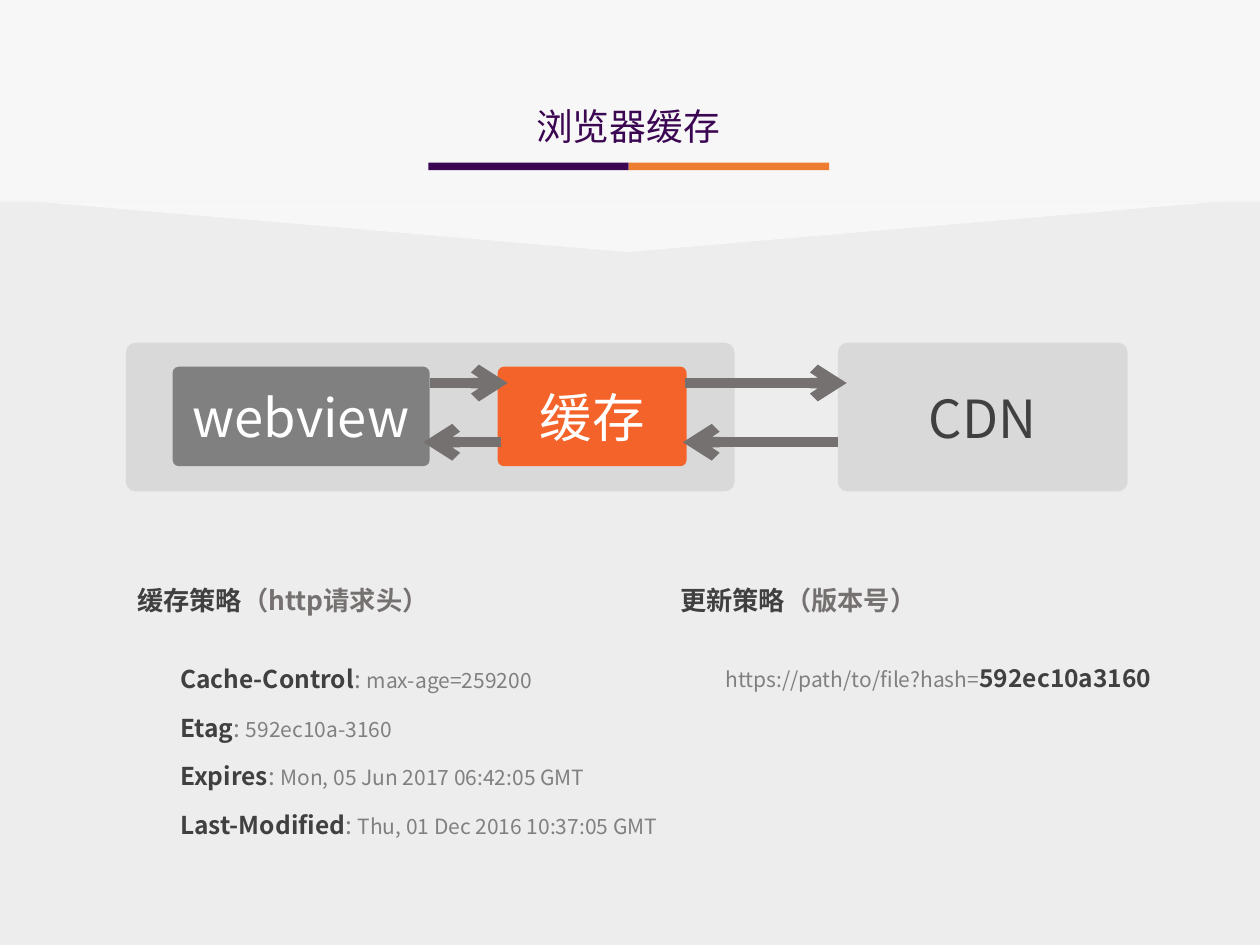
import dataclasses
import typing

import pptx
import pptx.dml.color
import pptx.enum.shapes
import pptx.enum.text
import pptx.oxml
import pptx.oxml.ns
import pptx.util

FONT = "Noto Sans CJK SC"
COLUMNS, ROWS = 100, 75
PURPLE, ORANGE, AMBER = "3B0752", "F4632A", "ED7D31"
PALE, MIST, SILVER = "F7F7F7", "EDEDED", "D9D9D9"
GREY, SLATE, DARK, WHITE = "808080", "767171", "404040", "FFFFFF"
SHAPE = pptx.enum.shapes.MSO_SHAPE
ANCHOR = pptx.enum.text.MSO_ANCHOR
CENTER = pptx.enum.text.PP_ALIGN.CENTER

deck = pptx.Presentation()
deck.slide_width = pptx.util.Inches(10)
deck.slide_height = pptx.util.Inches(7.5)
page = deck.slides.add_slide(deck.slide_layouts[1])


@dataclasses.dataclass
class Area:
    """A rectangle in columns and rows of the page grid."""
    column: float
    row: float
    columns: float
    rows: float


@dataclasses.dataclass
class Span:
    text: str
    size: float
    color: str
    bold: bool = False


@dataclasses.dataclass
class Block:
    area: Area
    fill: str
    label: typing.Optional[Span] = None


@dataclasses.dataclass
class Arrow:
    start: float
    end: float
    row: float


def across(columns: float) -> int:
    return round(deck.slide_width * columns / COLUMNS)


def down(rows: float) -> int:
    return round(deck.slide_height * rows / ROWS)


def place(area: Area) -> tuple:
    return (across(area.column), down(area.row),
            across(area.columns), down(area.rows))


def color(code: str) -> pptx.dml.color.RGBColor:
    return pptx.dml.color.RGBColor.from_string(code)


def child(parent, tag: str, **attributes: str) -> None:
    element = pptx.oxml.parse_xml(f"<a:{tag} {pptx.oxml.ns.nsdecls('a')}/>")
    for name, value in attributes.items():
        element.set(name, value)
    parent.append(element)


def write(para, spans: typing.List[Span]) -> None:
    for item in spans:
        span = para.add_run()
        span.text = item.text
        span.font.name = FONT
        child(span.font._element, "ea", typeface=FONT)
        span.font.size = pptx.util.Pt(item.size)
        span.font.bold = item.bold
        span.font.color.rgb = color(item.color)


def draw_shape(kind, area: Area, fill: str):
    shape = page.shapes.add_shape(kind, *place(area))
    shape.shadow.inherit = False
    shape.fill.solid()
    shape.fill.fore_color.rgb = color(fill)
    shape.line.fill.background()
    return shape


def draw_block(block: Block) -> None:
    shape = draw_shape(SHAPE.ROUNDED_RECTANGLE, block.area, block.fill)
    shape.adjustments[0] = 0.064
    if block.label:
        shape.text_frame.vertical_anchor = ANCHOR.MIDDLE
        shape.text_frame.word_wrap = False
        para = shape.text_frame.paragraphs[0]
        para.alignment = CENTER
        write(para, [block.label])


def draw_arrow(arrow: Arrow) -> None:
    line = page.shapes.add_connector(
        pptx.enum.shapes.MSO_CONNECTOR.STRAIGHT,
        across(arrow.start), down(arrow.row), across(arrow.end), down(arrow.row))
    line.line.color.rgb = color(SLATE)
    line.line.width = pptx.util.Pt(6)
    child(line.line._get_or_add_ln(), "tailEnd", type="arrow")
    child(line._element.spPr, "effectLst")


def draw_text(area: Area, spans: typing.List[Span], wrap: bool) -> None:
    box = page.shapes.add_textbox(*place(area))
    box.text_frame.word_wrap = wrap
    write(box.text_frame.paragraphs[0], spans)


def fit_placeholder(box, area: Area) -> None:
    box.left, box.top, box.width, box.height = place(area)
    box.text_frame.word_wrap = True
    box.text_frame.auto_size = pptx.enum.text.MSO_AUTO_SIZE.NONE
    box.text_frame.vertical_anchor = ANCHOR.TOP
    page.shapes._spTree.append(box._element)  # bring to the front


# Background with the notched header
page.background.fill.solid()
page.background.fill.fore_color.rgb = color(PALE)
draw_shape(SHAPE.RECTANGLE, Area(-0.9, 16, 101.6, 61.7), MIST)
notch = draw_shape(SHAPE.ISOSCELES_TRIANGLE, Area(2.8, 16, 94, 4), PALE)
notch.rotation = 180

# Title and two-colour rule
title = page.shapes.title
fit_placeholder(title, Area(29, 7.7, 41.7, 4.7))
title_para = title.text_frame.paragraphs[0]
title_para.alignment = CENTER
write(title_para, [Span("浏览器缓存", 21, PURPLE)])
RULE = 15.9
for index, rule_color in enumerate((PURPLE, AMBER)):
    draw_shape(SHAPE.RECTANGLE, Area(34 + index * RULE, 12.9, RULE, 0.6), rule_color)

# Cache diagram
OUTER_ROW, OUTER_ROWS = 27.2, 11.8
INNER_ROW, INNER_ROWS = 29.1, 7.9
for block in (
    Block(Area(10, OUTER_ROW, 48.3, OUTER_ROWS), SILVER),
    Block(Area(66.5, OUTER_ROW, 23, OUTER_ROWS), SILVER, Span("CDN", 30, DARK)),
    Block(Area(13.7, INNER_ROW, 20.4, INNER_ROWS), GREY, Span("webview", 30, WHITE)),
    Block(Area(39.5, INNER_ROW, 15, INNER_ROWS), ORANGE, Span("缓存", 30, WHITE)),
):
    draw_block(block)
REQUEST, RESPONSE = 30.4, 35.1
for arrow in (Arrow(34.1, 40.3, REQUEST), Arrow(54.4, 67.2, REQUEST),
              Arrow(66.5, 54.2, RESPONSE), Arrow(39.8, 33.6, RESPONSE)):
    draw_arrow(arrow)

# Strategy headings
for column, columns, name, note in ((9.9, 25.2, "缓存策略", "（http请求头）"),
                                    (53, 20.8, "更新策略", "（版本号）")):
    draw_text(Area(column, 45.9, columns, 3.7),
              [Span(name, 15, DARK, True), Span(note, 15, SLATE, True)], True)

# Cache headers
headers = page.placeholders[1]
fit_placeholder(headers, Area(13.3, 52.2, 42.1, 16.5))
for index, (name, value) in enumerate((
    ("Cache-Control", "max-age=259200"),
    ("Etag", "592ec10a-3160"),
    ("Expires", "Mon, 05 Jun 2017 06:42:05 GMT"),
    ("Last-Modified", "Thu, 01 Dec 2016 10:37:05 GMT"),
)):
    frame = headers.text_frame
    para = frame.add_paragraph() if index else frame.paragraphs[0]
    settings = para._p.get_or_add_pPr()
    settings.set("marL", "0")
    settings.set("indent", "0")
    child(settings, "buNone")
    para.space_before = pptx.util.Pt(11 if index else 0)
    write(para, [Span(name, 14, DARK, True), Span(": ", 14, GREY), Span(value, 12, GREY)])

# Versioned address
draw_text(Area(56.6, 52.1, 36.9, 3.5),
          [Span("https://path/to/file?hash=", 12, GREY),
           Span("592ec10a3160", 14, DARK, True)], False)

deck.save("out.pptx")
